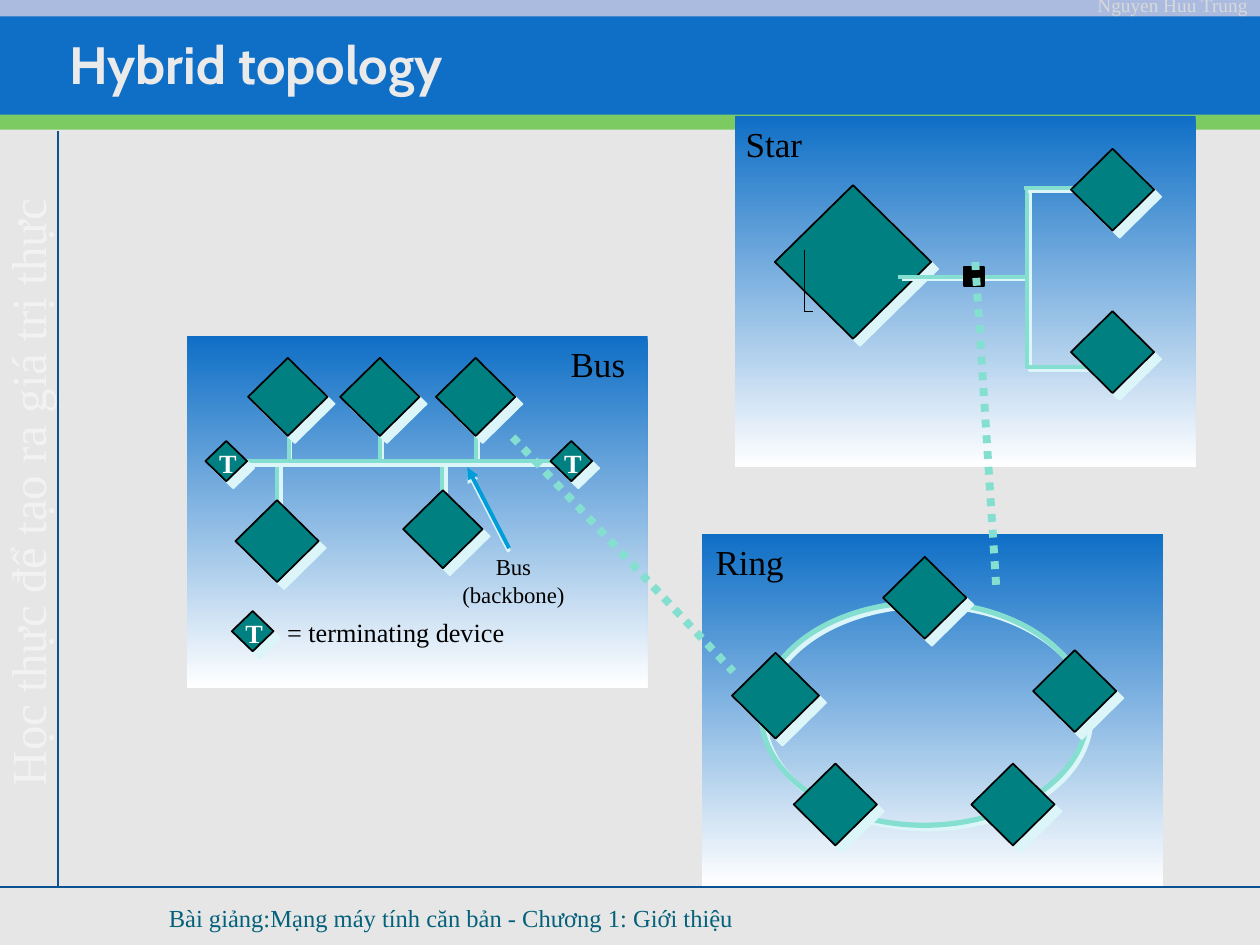
from lxml.etree import SubElement
from pptx import Presentation
from pptx.dml.color import RGBColor
from pptx.enum.dml import MSO_LINE
from pptx.enum.shapes import MSO_CONNECTOR, MSO_SHAPE
from pptx.enum.text import MSO_ANCHOR, MSO_AUTO_SIZE, PP_ALIGN
from pptx.oxml.ns import qn
from pptx.util import Pt

COLORS = {
    "page": "E6E6E6", "blue": "0F6FC6", "lavender": "ABBBDF", "green": "7CCA62",
    "rule": "0B5292", "motto": "F2F2F2", "author": "D9D9D9", "title": "EAEAEA",
    "footer": "04617B", "white": "FFFFFF", "black": "000000", "teal": "008080",
    "wire": "85DFD0", "shadow": "DBF5F9", "arrow": "009DD9",
}
SERIF = "Times New Roman"

BANDS = [
    ((0, 0, 720, 540), "page"),
    ((0, 4.3, 720, 62), "blue"),
    ((0, 0, 720, 9.4), "lavender"),
    ((0, 65.5, 720, 8.6), "green"),
]
RULES = [(0, 506.9, 720, 506.9), (33.1, 74.9, 33.1, 506.9)]

PANEL_SIZE = (263.5, 200.9)
PANELS = {"Ring": (401, 305.3), "Bus": (106.6, 192.2), "Star": (419.8, 66.2)}
RING_BOX = (434.9, 344.2, 186.5, 127.4)
HUB_BOX = (550.8, 152.6, 11.5, 10.8)

NODE_SIZES = {
    "server": (89.3, 87.8), "large": (49.7, 49), "station": (47.5, 46.8),
    "compact": (45.4, 44.6), "terminator": (23.8, 23),
}
SERVER = (442.8, 105.8)
NODES = {
    "station": [(504.7, 318.2), (453.6, 436.3), (555.1, 436.3), (590.4, 371.5),
                (134.6, 285.8), (612, 85), (612, 177.8)],
    "large": [(418.3, 373)],
    "compact": [(194.4, 204.5), (230.4, 280.1), (249.1, 204.5), (141.8, 204.5)],
    "terminator": [(132.5, 349.2), (314.6, 252), (117.4, 252)],
}

BUS_Y = 263.5
DIAGONAL, STEEP, SHALLOW = (2.8, 45), (2.2, 63), (2.2, 27)
WIRES = [
    *[((x, BUS_Y, x, top), STEEP) for x, top in [(272.2, 232.6), (217.4, 237.6), (164.9, 237.6)]],
    *[((x, 294.5, x, BUS_Y), DIAGONAL) for x in (252.7, 158.4)],
    ((132.5, BUS_Y, 320.4, BUS_Y), DIAGONAL),
    ((513.4, 158.4, 586.1, 158.4), SHALLOW),
    ((586.8, 108, 586.8, 210.2), DIAGONAL),
    ((585.4, 107.3, 648, 107.3), DIAGONAL),
    ((648, 209.5, 586.1, 209.5), DIAGONAL),
]
BACKBONE_ARROW = (290.9, 313.2, 267.1, 267.1)
SERVER_MARKS = [(459.4, 142.6, 459.4, 177.8), (459.4, 177.8, 464.4, 177.8)]
LINKS = [(557.3, 149.8, 569.5, 338.4), (293, 249.8, 419, 383.8)]

LABELS = [
    ("Ring", (401.8, 305.3, 54, 31.7), 20, False),
    ("Bus", (319, 192.2, 46.1, 31.7), 20, False),
    ("Star", (419, 66.2, 46.8, 31.7), 20, False),
    ("Bus (backbone)", (251.3, 312.5, 84.2, 38.9), 13, True),
    ("= terminating device", (157, 348.5, 139.7, 25.2), 15, False),
]
TITLE = "Hybrid topology"
MOTTO = "Học thực để tạo ra giá trị thực"
AUTHOR = "Nguyen Huu Trung"
FOOTER = "Bài giảng:Mạng máy tính căn bản - Chương 1: Giới thiệu"


def color(name):
    return RGBColor.from_string(COLORS[name])


def assign(target, values):
    for name, value in values.items():
        setattr(target, name, value)


def add_shadow(shape, distance=None, angle=0):
    properties = shape._element.spPr
    for old in properties.findall(qn("a:effectLst")):
        properties.remove(old)
    effects = SubElement(properties, qn("a:effectLst"))
    if distance:
        outer = SubElement(effects, qn("a:outerShdw"), dist=str(Pt(distance)),
                           dir=str(angle * 60000), algn="ctr", rotWithShape="0")
        SubElement(outer, qn("a:srgbClr"), val=COLORS["shadow"])


def add_block(shapes, kind, box, fill=None, line=None, width=1, shadow=()):
    shape = shapes.add_shape(kind, *map(Pt, box))
    if fill:
        shape.fill.solid()
        shape.fill.fore_color.rgb = color(fill)
    else:
        shape.fill.background()
    if line:
        shape.line.color.rgb = color(line)
        shape.line.width = Pt(width)
    else:
        shape.line.fill.background()
    add_shadow(shape, *shadow)
    return shape


def add_panel(shapes, corner):
    panel = add_block(shapes, MSO_SHAPE.RECTANGLE, (*corner, *PANEL_SIZE))
    panel.fill.gradient()
    panel.fill.gradient_angle = 270
    for stop, name, position in zip(panel.fill.gradient_stops, ("blue", "white"), (0, 1)):
        stop.color.rgb = color(name)
        stop.position = position


def add_node(shapes, kind, corner):
    add_block(shapes, MSO_SHAPE.DIAMOND, (*corner, *NODE_SIZES[kind]),
              "teal", "black", shadow=(5.7, 45))


def add_line(shapes, ends, name, width, shadow=()):
    connector = shapes.add_connector(MSO_CONNECTOR.STRAIGHT, *map(Pt, ends))
    connector.line.color.rgb = color(name)
    connector.line.width = Pt(width)
    add_shadow(connector, *shadow)
    return connector


def write(shape, text, size, name, font=SERIF, bold=False, align=PP_ALIGN.LEFT,
          inset=(7.2, 3.6), **frame_values):
    frame = shape.text_frame
    horizontal, vertical = map(Pt, inset)
    assign(frame, {"text": text, "margin_left": horizontal, "margin_right": horizontal,
                   "margin_top": vertical, "margin_bottom": vertical,
                   "word_wrap": True, **frame_values})
    paragraph = frame.paragraphs[0]
    paragraph.alignment = align
    run = paragraph.runs[0]
    assign(run.font, {"name": font, "size": Pt(size), "bold": bold})
    run.font.color.rgb = color(name)
    return run


def add_text(shapes, box, *content, **values):
    textbox = shapes.add_textbox(*map(Pt, box))
    values = {"auto_size": MSO_AUTO_SIZE.SHAPE_TO_FIT_TEXT, **values}
    return textbox, write(textbox, *content, **values)


def add_frame(slide):
    shapes = slide.shapes
    for box, name in BANDS:
        add_block(shapes, MSO_SHAPE.RECTANGLE, box, name)
    for ends in RULES:
        add_line(shapes, ends, "rule", 1)
    motto, run = add_text(shapes, (-8.6, 84.2, 48.2, 372.2), MOTTO, 28, "motto",
                          vertical_anchor=MSO_ANCHOR.MIDDLE)
    motto.text_frame._txBody.bodyPr.set("vert", "vert270")
    outline = SubElement(run.font._element, qn("a:ln"), w=str(Pt(1.45)))
    run.font._element.insert(0, outline)
    SubElement(SubElement(outline, qn("a:solidFill")), qn("a:srgbClr"), val=COLORS["motto"])
    add_text(shapes, (498.2, -7.2, 221.8, 20.9), AUTHOR, 11, "author", align=PP_ALIGN.RIGHT)
    title = shapes.title
    assign(title, {"left": Pt(33.1), "top": Pt(21.6), "width": Pt(636.5), "height": Pt(29.5)})
    write(title, TITLE, 30, "title", font="Cabin", bold=True, inset=(6.5, 2.9),
          vertical_anchor=MSO_ANCHOR.MIDDLE, auto_size=MSO_AUTO_SIZE.NONE)
    title._element.getparent().append(title._element)


def add_networks(shapes):
    for corner in PANELS.values():
        add_panel(shapes, corner)
    add_block(shapes, MSO_SHAPE.OVAL, RING_BOX, None, "wire", 3, DIAGONAL)
    add_node(shapes, "server", SERVER)
    for ends, shadow in WIRES:
        add_line(shapes, ends, "wire", 2.25, shadow)
    add_block(shapes, MSO_SHAPE.RECTANGLE, HUB_BOX, "black", "black")
    for kind, corners in NODES.items():
        for corner in corners:
            add_node(shapes, kind, corner)
    arrow = add_line(shapes, BACKBONE_ARROW, "arrow", 2.25, (2, 90))
    SubElement(arrow.line._get_or_add_ln(), qn("a:tailEnd"), type="triangle")
    for ends in SERVER_MARKS:
        add_line(shapes, ends, "black", 0.25)
    for left, top in NODES["terminator"]:
        add_text(shapes, (left + 0.7, top, 24.5, 25.2), "T", 15, "white",
                 bold=True, word_wrap=False)
    for text, box, size, wrap in LABELS:
        add_text(shapes, box, text, size, "black", word_wrap=wrap,
                 align=PP_ALIGN.CENTER if wrap else PP_ALIGN.LEFT)
    for ends in LINKS:
        add_line(shapes, ends, "wire", 4.5).line.dash_style = MSO_LINE.ROUND_DOT


def main():
    presentation = Presentation()
    assign(presentation, {"slide_width": Pt(720), "slide_height": Pt(540)})
    slide = presentation.slides.add_slide(presentation.slide_layouts[5])
    add_frame(slide)
    add_networks(slide.shapes)
    add_text(slide.shapes, (90, 514.8, 401.8, 19.4), FOOTER, 14, "footer", inset=(6.5, 3.6),
             vertical_anchor=MSO_ANCHOR.MIDDLE, auto_size=MSO_AUTO_SIZE.NONE)
    presentation.save("out.pptx")


if __name__ == "__main__":
    main()
